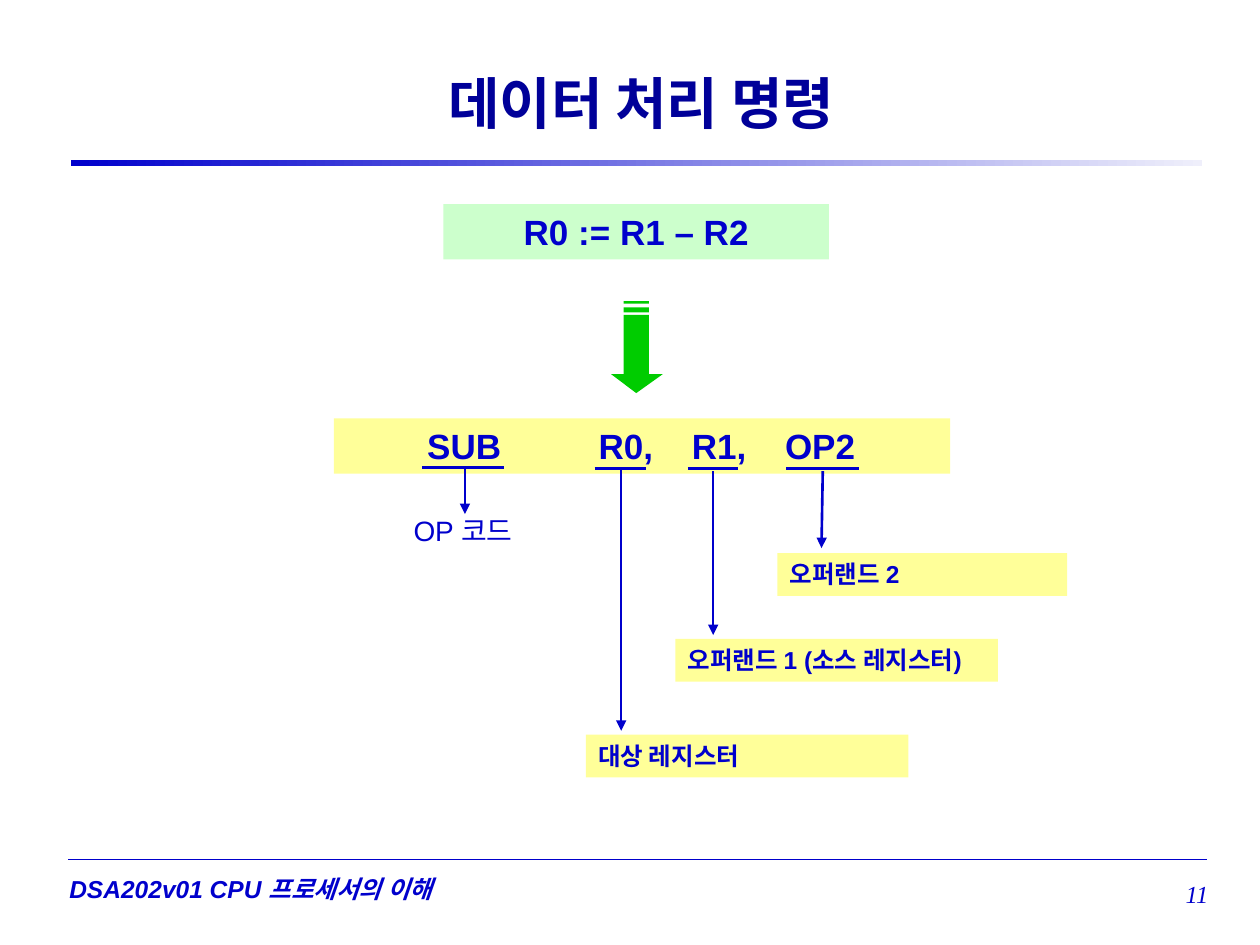
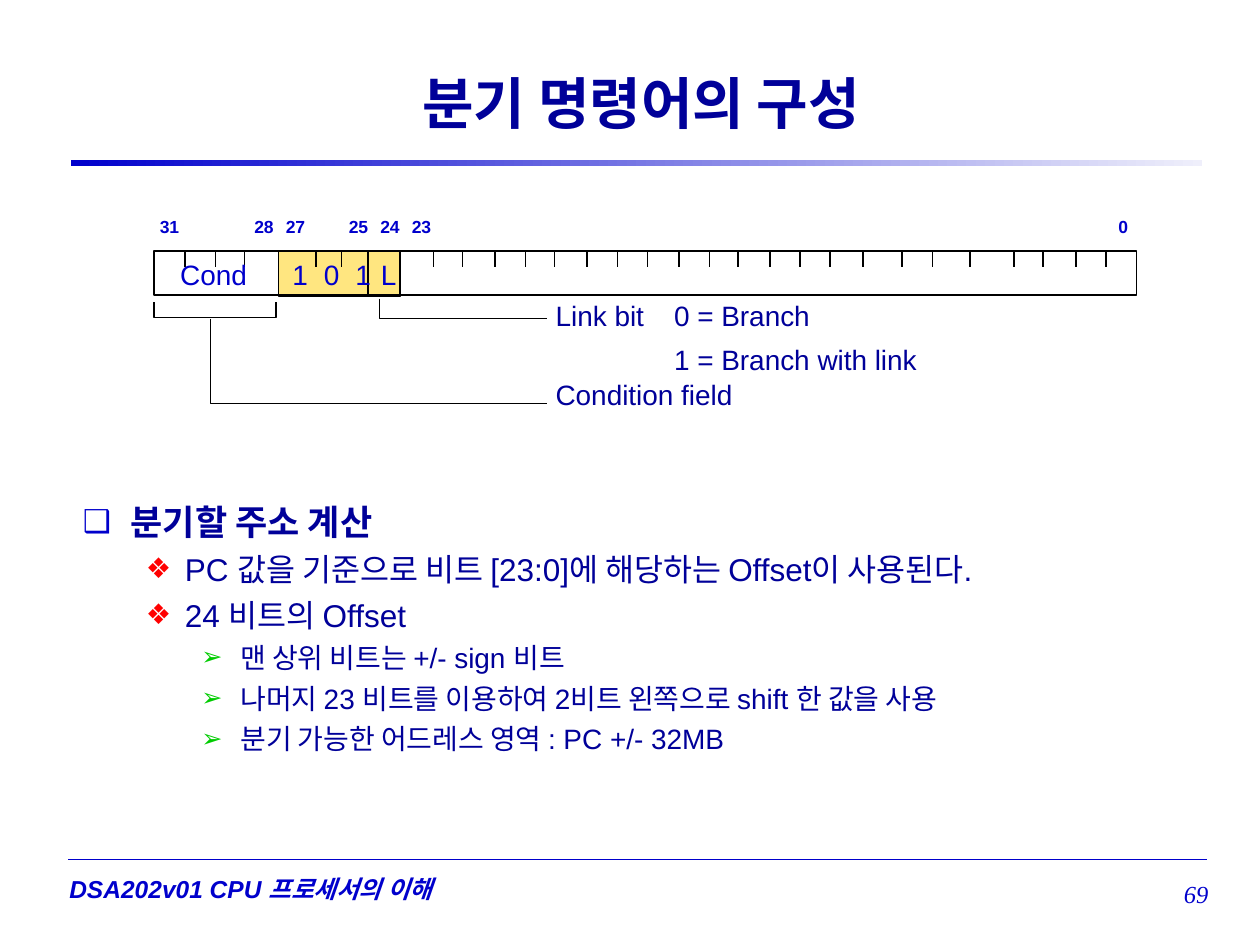
from dataclasses import dataclass

import pptx
import pptx.dml.color
import pptx.enum.shapes
import pptx.enum.text
import pptx.oxml.ns
import pptx.util
from lxml import etree
from pptx.util import Inches

BLUE, NAVY, BLACK = "0000CC", "000099", "000000"
YELLOW, MINT, GREEN, RED, GOLD = "FFFF99", "CCFFCC", "00CC00", "FF0000", "FFE680"
SANS, SERIF = "Arial", "Times New Roman"
ALIGN = pptx.enum.text.PP_ALIGN
RECT = pptx.enum.shapes.MSO_SHAPE.RECTANGLE
FOOTER = "DSA202v01 CPU 프로세서의 이해"


@dataclass
class Style:
    size: float
    color: str = BLUE
    bold: bool = False
    italic: bool = False
    font: str = SANS
    align: ALIGN = ALIGN.LEFT
    spacing: float = 1.0
    before: float = 0
    tabs: tuple = ()


@dataclass
class Box:
    left: float
    top: float
    width: float
    height: float
    inset: float = 0.1
    fill: str = ""
    middle: bool = False


@dataclass
class Line:
    x1: float
    y1: float
    x2: float
    y2: float
    color: str = BLUE
    width: float = 0.75
    arrow: bool = False


@dataclass
class Level:
    char: str
    color: str
    margin: float
    hang: float
    style: Style


TITLE = Style(32, NAVY, True, align=ALIGN.CENTER)
FOOT = Style(14, bold=True, italic=True)
PAGE = Style(14, italic=True, font=SERIF, align=ALIGN.RIGHT)
FORMULA = Style(20, bold=True, align=ALIGN.CENTER)
INSTRUCTION = Style(20, bold=True, tabs=(1.36, 2.1, 2.84))
OPCODE = Style(16, align=ALIGN.CENTER)
OPERAND = Style(14, bold=True)
BIT_NUMBER = Style(10, bold=True, align=ALIGN.CENTER, spacing=0.8)
FIELD = Style(16, align=ALIGN.CENTER, spacing=0.8)
BITS = Style(16, spacing=0.8, tabs=(0.25, 0.5))
CAPTION = Style(16, NAVY, spacing=0.8, before=10, tabs=(0.94,))
LEVELS = (
    Level("❑", BLUE, 0.38, 0.38, Style(20, NAVY, True, before=5)),
    Level("❖", RED, 0.81, 0.31, Style(18, NAVY, before=4.5)),
    Level("➢", GREEN, 1.25, 0.31, Style(16, NAVY, before=4)),
)


def rgb(value: str) -> pptx.dml.color.RGBColor:
    return pptx.dml.color.RGBColor.from_string(value)


def child(parent, tag: str, **attrs):
    el = etree.SubElement(parent, pptx.oxml.ns.qn(tag))
    for key, value in attrs.items():
        el.set(key, str(value))
    return el


def add_bullet(p, level: Level) -> None:
    pPr = p._p.get_or_add_pPr()
    pPr.set("marL", str(Inches(level.margin)))
    pPr.set("indent", str(-Inches(level.hang)))
    child(child(pPr, "a:buClr"), "a:srgbClr", val=level.color)
    child(pPr, "a:buSzPct", val=90000)
    child(pPr, "a:buFont", typeface=SANS)
    child(pPr, "a:buChar", char=level.char)


def style_paragraph(p, text: str, style: Style, first: bool) -> None:
    p.add_run().text = text
    if style.tabs:
        tabs = child(p._p.get_or_add_pPr(), "a:tabLst")
        for pos in style.tabs:
            child(tabs, "a:tab", pos=Inches(pos), algn="l")
    p.alignment = style.align
    p.line_spacing = style.spacing
    p.space_before = pptx.util.Pt(0 if first else style.before)
    f = p.font
    f.size, f.name = pptx.util.Pt(style.size), style.font
    f.bold, f.italic = style.bold, style.italic
    f.color.rgb = rgb(style.color)


def add_box(slide, box: Box):
    """Add an empty text box, or a filled rectangle, and return its text frame."""
    place = [Inches(v) for v in (box.left, box.top, box.width, box.height)]
    if box.fill:
        sp = slide.shapes.add_shape(RECT, *place)
        sp.shadow.inherit = False
        sp.fill.solid()
        sp.fill.fore_color.rgb = rgb(box.fill)
        sp.line.fill.background()
    else:
        sp = slide.shapes.add_textbox(*place)
    tf = sp.text_frame
    tf.word_wrap = True
    tf.margin_left = tf.margin_right = Inches(box.inset)
    tf.margin_top = tf.margin_bottom = Inches(0.05)
    anchor = pptx.enum.text.MSO_ANCHOR
    tf.vertical_anchor = anchor.MIDDLE if box.middle else anchor.TOP
    return tf


def add_text(slide, box: Box, style: Style, *lines: str):
    tf = add_box(slide, box)
    for i, text in enumerate(lines):
        p = tf.add_paragraph() if i else tf.paragraphs[0]
        style_paragraph(p, text, style, i == 0)
    return tf


def add_line(slide, line: Line) -> None:
    ends = [Inches(v) for v in (line.x1, line.y1, line.x2, line.y2)]
    cx = slide.shapes.add_connector(pptx.enum.shapes.MSO_CONNECTOR.STRAIGHT, *ends)
    cx.line.color.rgb = rgb(line.color)
    cx.line.width = pptx.util.Pt(line.width)
    spPr = cx._element.spPr
    if line.arrow:
        child(spPr.find(pptx.oxml.ns.qn("a:ln")), "a:tailEnd", type="triangle")
    child(spPr, "a:effectLst")


def add_outline(slide, contours: list, closed: bool):
    """Add one freeform made of several contours given in inches."""
    contours = [[(Inches(x), Inches(y)) for x, y in points] for points in contours]
    fb = slide.shapes.build_freeform(*contours[0][0])
    for i, points in enumerate(contours):
        if i:
            fb.move_to(*points[0])
        fb.add_line_segments(points[1:], close=closed)
    sp = fb.convert_to_shape()
    sp.shadow.inherit = False
    return sp


def add_bracket(slide, points: list, width: float) -> None:
    sp = add_outline(slide, [points], closed=False)
    sp.fill.background()
    sp.line.color.rgb = rgb(BLACK)
    sp.line.width = pptx.util.Pt(width)


def add_frame(slide, left: float, top: float, width: float, height: float, fill: str = "") -> None:
    sp = slide.shapes.add_shape(RECT, *(Inches(v) for v in (left, top, width, height)))
    sp.shadow.inherit = False
    if fill:
        sp.fill.solid()
        sp.fill.fore_color.rgb = rgb(fill)
    else:
        sp.fill.background()
    sp.line.color.rgb = rgb(BLACK)
    sp.line.width = pptx.util.Pt(1)


def new_slide(prs, title: str, number: int):
    """Start a slide with the shared band, footer, title and page number."""
    slide = prs.slides.add_slide(prs.slide_layouts[6])
    band = slide.shapes.add_shape(RECT, Inches(0.56), Inches(1.27), Inches(8.98), Inches(0.05))
    band.shadow.inherit = False
    band.line.fill.background()
    band.fill.gradient()
    band.fill.gradient_angle = 0
    for stop, color in zip(band.fill.gradient_stops, (BLUE, "EFEFFB")):
        stop.color.rgb = rgb(color)
    add_line(slide, Line(0.54, 6.82, 9.58, 6.82))
    add_text(slide, Box(0.53, 6.88, 3.87, 0.34, 0.02, middle=True), FOOT, FOOTER)
    add_text(slide, Box(0.88, 0.31, 8.42, 1, middle=True), TITLE, title)
    add_text(slide, Box(8.67, 6.84, 0.92, 0.5, 0, middle=True), PAGE, str(number))
    return slide


def build_data_processing(prs) -> None:
    slide = new_slide(prs, "데이터 처리 명령", 11)

    # Formula and the instruction it becomes
    add_text(slide, Box(3.52, 1.62, 3.06, 0.44, fill=MINT), FORMULA, "R0 := R1 – R2")
    tf = add_text(slide, Box(2.65, 3.32, 4.89, 0.44, fill=YELLOW), INSTRUCTION, "SUB\tR0,\tR1,\tOP2")
    tf.margin_left = Inches(0.74)

    # Striped arrow pointing down
    left, right = 4.95, 5.15
    stripes = [[(left, y1), (right, y1), (right, y2), (left, y2)]
               for y1, y2 in ((2.39, 2.41), (2.44, 2.48))]
    body = [(right, 2.5), (right, 2.97), (5.26, 2.97), (5.05, 3.12),
            (4.85, 2.97), (left, 2.97), (left, 2.5)]
    sp = add_outline(slide, [body, *stripes], closed=True)
    sp.fill.solid()
    sp.fill.fore_color.rgb = rgb(GREEN)
    sp.line.fill.background()

    # Underlines below each part of the instruction
    for x1, x2, y in ((3.35, 4, 3.71), (4.72, 5.13, 3.72), (5.46, 5.86, 3.72), (6.24, 6.82, 3.72)):
        add_line(slide, Line(x1, y, x2, y, width=2))

    # Explanations and their arrows
    add_text(slide, Box(3.03, 4.03, 1.29, 0.37), OPCODE, "OP 코드")
    for left, top, width, text in (
        (6.17, 4.39, 2.3, "오퍼랜드 2"),
        (5.36, 5.07, 2.56, "오퍼랜드 1 (소스 레지스터)"),
        (4.65, 5.83, 2.56, "대상 레지스터"),
    ):
        add_text(slide, Box(left, top, width, 0.34, fill=YELLOW), OPERAND, text)
    add_line(slide, Line(3.69, 3.71, 3.69, 4.08, arrow=True))
    for x1, y1, x2, y2 in ((4.93, 3.72, 4.93, 5.8), (5.66, 3.74, 5.66, 5.04), (6.53, 3.74, 6.52, 4.35)):
        add_line(slide, Line(x1, y1, x2, y2, width=1.5, arrow=True))


def build_branch_format(prs) -> None:
    slide = new_slide(prs, "분기 명령어의 구성", 69)

    # Instruction word with bit ticks and field borders
    top = 1.99
    add_frame(slide, 2.21, top, 0.97, 0.36, GOLD)
    add_frame(slide, 1.22, top, 7.8, 0.35)
    ticks = (1.47, 1.71, 1.94, 2.51, 2.71, 3.44, 3.67, 3.93, 4.17, 4.4, 4.66, 4.9, 5.14, 5.39,
             5.63, 5.86, 6.11, 6.35, 6.59, 6.85, 7.16, 7.4, 7.7, 8.05, 8.28, 8.54, 8.78)
    borders = (2.21, 2.92, 3.17)
    for marks, bottom in ((ticks, 2.12), (borders, 2.35)):
        for x in marks:
            add_line(slide, Line(x, top, x, bottom, BLACK, 1))

    # Bit numbers and field names
    numbers = {bit: 1.17 + 0.25 * (31 - bit) for bit in (31, 28, 27, 25, 24, 23)}
    numbers[0] = 8.74
    for bit, left in numbers.items():
        add_text(slide, Box(left, 1.7, 0.35, 0.24, 0.02), BIT_NUMBER, str(bit))
    add_text(slide, Box(1.29, 2.05, 0.81, 0.32, 0.02), FIELD, "Cond")
    add_text(slide, Box(2.3, 2.05, 0.75, 0.32, 0.02), BITS, "1\t0\t1")
    add_text(slide, Box(2.92, 2.05, 0.33, 0.32, 0.02), FIELD, "L")

    # Brackets leading to the field captions
    add_bracket(slide, [(1.22, 2.4), (1.22, 2.52), (2.19, 2.52), (2.19, 2.4)], 1)
    add_bracket(slide, [(3.01, 2.37), (3.01, 2.53), (4.34, 2.53)], 0.75)
    add_bracket(slide, [(1.67, 2.53), (1.67, 3.2), (4.34, 3.2)], 0.75)
    add_text(slide, Box(4.26, 2.37, 3.33, 0.67, 0.15), CAPTION,
             "Link bit\t0 = Branch", "\t1 = Branch with link")
    add_text(slide, Box(4.26, 3, 3.33, 0.32, 0.15), CAPTION, "Condition field")

    # Bulleted explanation
    tf = add_box(slide, Box(0.56, 3.92, 8.96, 2.75))
    for i, (depth, text) in enumerate((
        (0, "분기할 주소 계산"),
        (1, "PC 값을 기준으로 비트 [23:0]에 해당하는 Offset이 사용된다."),
        (1, "24 비트의 Offset"),
        (2, "맨 상위 비트는 +/- sign 비트"),
        (2, "나머지 23 비트를 이용하여 2비트 왼쪽으로 shift 한 값을 사용"),
        (2, "분기 가능한 어드레스 영역 : PC +/- 32MB"),
    )):
        p = tf.add_paragraph() if i else tf.paragraphs[0]
        p.level = depth
        add_bullet(p, LEVELS[depth])
        style_paragraph(p, text, LEVELS[depth].style, i == 0)


def main() -> None:
    prs = pptx.Presentation()
    prs.slide_width, prs.slide_height = Inches(10), Inches(7.5)
    build_data_processing(prs)
    build_branch_format(prs)
    prs.save("out.pptx")


if __name__ == "__main__":
    main()
